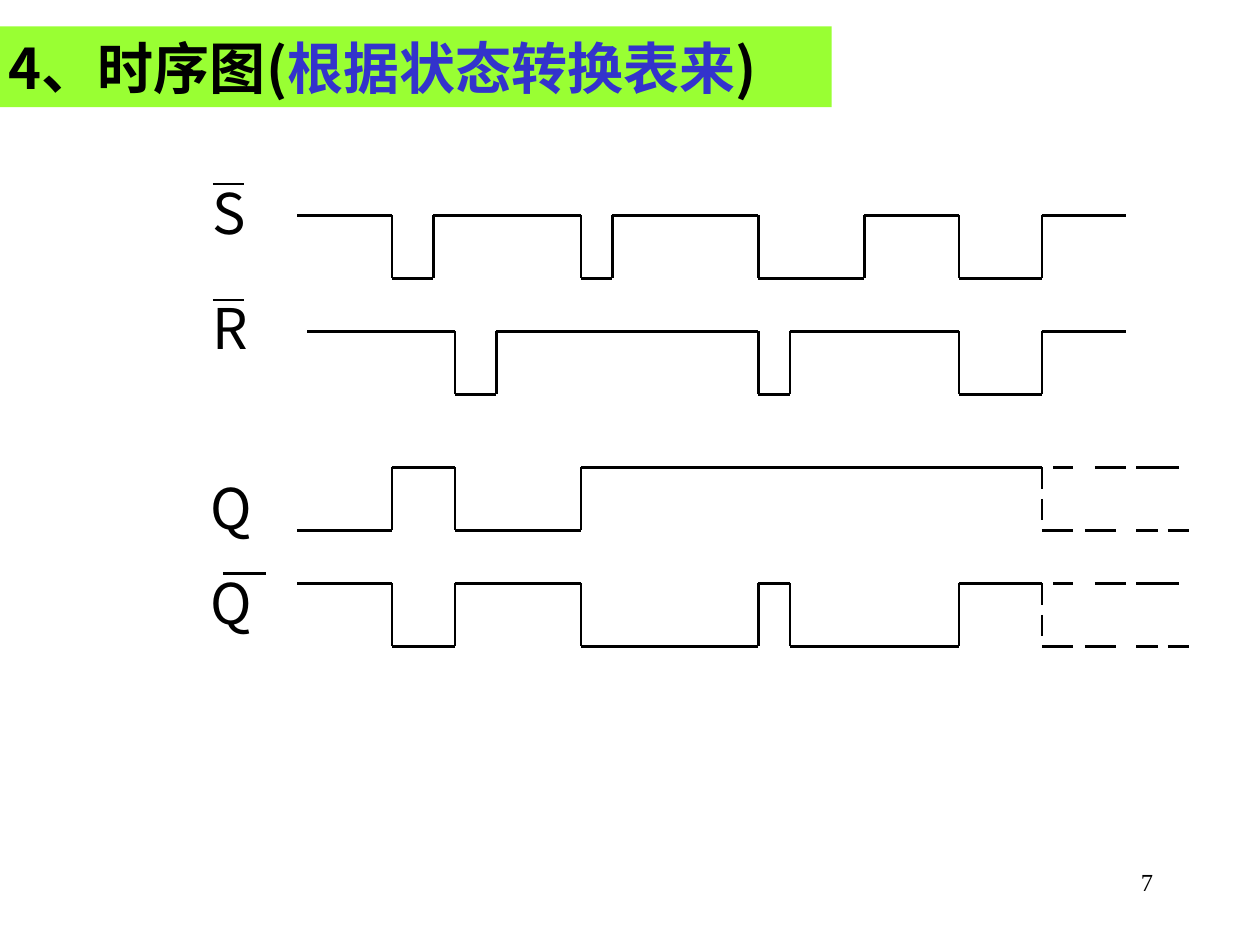
from itertools import pairwise

from lxml.etree import SubElement
from pptx import Presentation
from pptx.dml.color import RGBColor
from pptx.enum.shapes import MSO_CONNECTOR
from pptx.enum.text import MSO_ANCHOR, MSO_AUTO_SIZE, PP_ALIGN
from pptx.oxml.ns import qn
from pptx.util import Inches, Pt

COLORS = {"ink": "000000", "accent": "3333CC", "banner": "99FF33"}
SANS = "Noto Sans CJK SC"
SERIF = "Times New Roman"

TITLE = [("4、时序图(", "ink"), ("根据状态转换表来", "accent"), (")", "ink")]

# Each signal toggles at every edge; "top" is the height of its high level.
SIGNALS = [
    {"top": 1.71, "high": True, "start": 2.36, "end": 8.94,
     "edges": [3.11, 3.44, 4.61, 4.86, 6.02, 6.86, 7.61, 8.27]},
    {"top": 2.63, "high": True, "start": 2.44, "end": 8.94,
     "edges": [3.61, 3.94, 6.02, 6.27, 7.61, 8.27]},
    {"top": 3.71, "high": False, "start": 2.36, "end": 8.27,
     "edges": [3.11, 3.61, 4.61]},
    {"top": 4.63, "high": True, "start": 2.36, "end": 8.27,
     "edges": [3.11, 3.61, 4.61, 6.02, 6.27, 7.61]},
]
SWING = 0.5

# Undetermined outputs after both inputs are released
UNKNOWN_TOPS = [3.71, 4.63]
UNKNOWN_X = 8.27
HIGH_DASHES = [(8.36, 8.52), (8.69, 8.94), (9.02, 9.36)]
LOW_DASHES = [(8.27, 8.52), (8.61, 8.86), (9.02, 9.19), (9.27, 9.44)]
DROP_DASHES = [(0, 0.17), (0.25, 0.42)]

LABELS = [("S", 1.59, 1.37), ("R", 1.59, 2.28), ("Q", 1.57, 3.71), ("Q", 1.57, 4.46)]
OVERBARS = [(1.69, 1.94, 1.46), (1.69, 1.94, 2.38), (1.77, 2.11, 4.55)]


def add_line(page, x1, y1, x2, y2):
    line = page.shapes.add_connector(
        MSO_CONNECTOR.STRAIGHT, Inches(x1), Inches(y1), Inches(x2), Inches(y2))
    line.line.color.rgb = RGBColor.from_string(COLORS["ink"])
    line.line.width = Pt(1.5)
    SubElement(line._element.spPr, qn("a:effectLst"))


def add_span(para, text, size, font, color="ink", bold=False):
    span = para.add_run()
    span.text = text
    span.font.size = Pt(size)
    span.font.bold = bold
    span.font.name = font
    span.font.color.rgb = RGBColor.from_string(COLORS[color])
    SubElement(span._r.get_or_add_rPr(), qn("a:ea"), typeface=font)


def add_label(page, text, left, top, width, height, size, font, wrap, align):
    box = page.shapes.add_textbox(
        Inches(left), Inches(top), Inches(width), Inches(height))
    box.text_frame.word_wrap = wrap
    para = box.text_frame.paragraphs[0]
    para.alignment = align
    add_span(para, text, size, font)


def add_title(page):
    title = page.shapes.title
    title.left, title.top = Inches(-0.03), Inches(0.21)
    title.width, title.height = Inches(6.63), Inches(0.64)
    title.fill.solid()
    title.fill.fore_color.rgb = RGBColor.from_string(COLORS["banner"])
    frame = title.text_frame
    frame.word_wrap = False
    frame.auto_size = MSO_AUTO_SIZE.NONE
    frame.vertical_anchor = MSO_ANCHOR.MIDDLE
    para = frame.paragraphs[0]
    para.alignment = PP_ALIGN.LEFT
    for text, color in TITLE:
        add_span(para, text, 32, SANS, color, bold=True)


def add_waveform(page, signal):
    top, bottom = signal["top"], signal["top"] + SWING
    high = signal["high"]
    stops = [signal["start"], *signal["edges"], signal["end"]]
    for left, right in pairwise(stops):
        level = top if high else bottom
        add_line(page, left, level, right, level)
        if right in signal["edges"]:
            add_line(page, right, top, right, bottom)
        high = not high


def add_unknown_tail(page, top):
    for level, dashes in [(top, HIGH_DASHES), (top + SWING, LOW_DASHES)]:
        for left, right in dashes:
            add_line(page, left, level, right, level)
    for upper, lower in DROP_DASHES:
        add_line(page, UNKNOWN_X, top + upper, UNKNOWN_X, top + lower)


def main():
    deck = Presentation()
    deck.slide_width, deck.slide_height = Inches(10), Inches(7.5)
    page = deck.slides.add_slide(deck.slide_layouts[5])

    add_title(page)
    for signal in SIGNALS:
        add_waveform(page, signal)
    for top in UNKNOWN_TOPS:
        add_unknown_tail(page, top)
    for text, left, top in LABELS:
        add_label(page, text, left, top, 0.47, 0.64, 32, SANS, False, PP_ALIGN.LEFT)
    for left, right, level in OVERBARS:
        add_line(page, left, level, right, level)
    add_label(page, "7", 7.17, 6.83, 2.08, 0.5, 14, SERIF, True, PP_ALIGN.RIGHT)

    deck.save("out.pptx")


if __name__ == "__main__":
    main()
